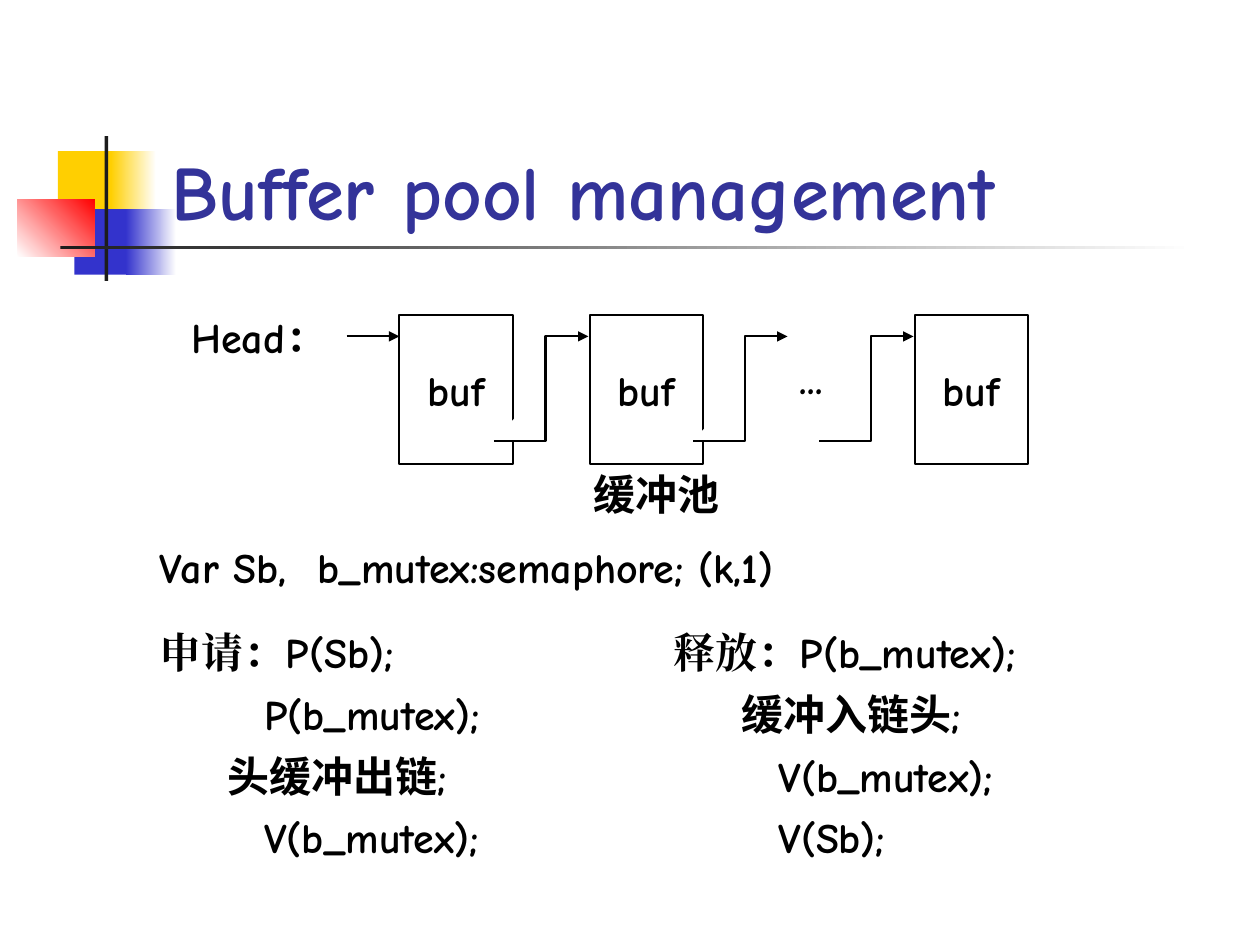
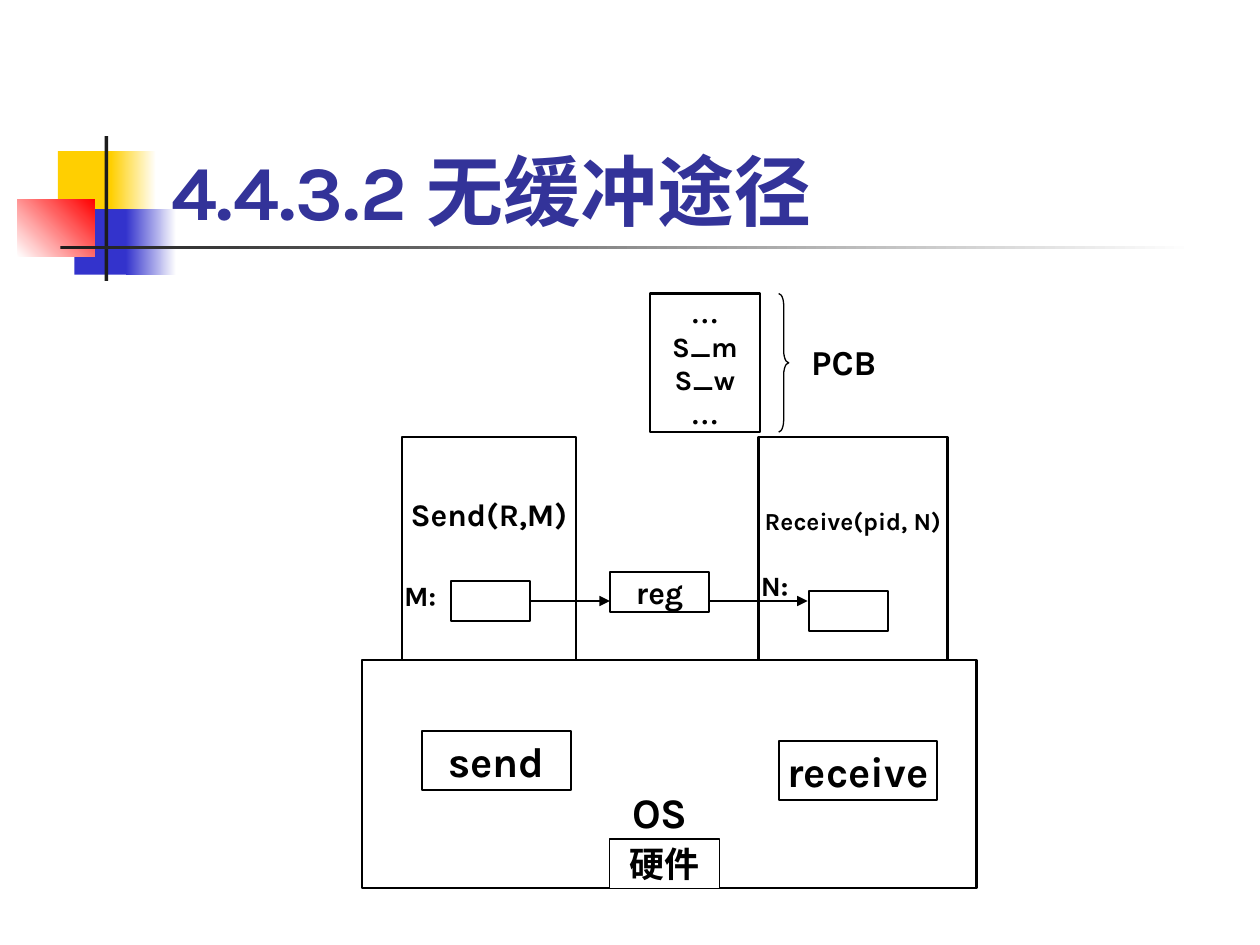
import pptx
import pptx.util
import pptx.dml.color
import pptx.enum.shapes
import pptx.enum.text
import pptx.oxml.ns
from lxml import etree
from dataclasses import dataclass

Inches, Pt = pptx.util.Inches, pptx.util.Pt
RGB = pptx.dml.color.RGBColor.from_string
SHAPE = pptx.enum.shapes.MSO_SHAPE
ANCHOR = pptx.enum.text.MSO_ANCHOR
ALIGN = pptx.enum.text.PP_ALIGN
AUTO = pptx.enum.text.MSO_AUTO_SIZE
qn = pptx.oxml.ns.qn


@dataclass(frozen=True)
class Theme:
    comic: str = "Comic Neue"
    karla: str = "Karla"
    times: str = "Times New Roman"
    ink: str = "000000"
    paper: str = "FFFFFF"
    title: str = "333399"
    yellow: str = "FFCF01"
    blue: str = "3333CC"
    red: str = "FF0000"
    dark: str = "1C1C1C"
    title_size: int = 44
    large: int = 24
    medium: int = 20
    body: int = 18
    label: int = 16
    small: int = 14
    line: float = 1.25
    thin: float = 0.75


T = Theme()

DECOR = [
    ((0.46, 1.2, 0.48, 0.52), [T.yellow], 0),
    ((0.88, 1.2, 0.36, 0.52), [T.yellow, T.paper], 0),
    ((0.59, 1.66, 0.46, 0.52), [T.blue], 0),
    ((1.0, 1.66, 0.4, 0.52), [T.blue, T.paper], 0),
    ((0.14, 1.58, 0.61, 0.46), [T.paper, T.red], 45),
    ((0.83, 1.08, 0.03, 1.15), [T.dark], 0),
    ((0.48, 1.95, 9, 0.03), [T.dark, T.paper], 0),
]
TITLE_AT = (1.26, 0.67, 8.52, 1.25)

BUF_LEFTS = [3.17, 4.68, 7.26]
LINK_LEFTS = [3.92, 5.5, 6.5]
LINK_STEPS = [(0, 3.5), (0.41, 3.5), (0.41, 2.67), (0.75, 2.67)]
CODE_INDENT, CJK_INDENT = 0.83, 0.54
OPERATIONS = [
    (1.17, "申请：", "P(Sb);",
     [("P(b_mutex);", CODE_INDENT), ("头缓冲出链;", CJK_INDENT), ("V(b_mutex);", CODE_INDENT)]),
    (5.25, "释放：", "P(b_mutex);",
     [("缓冲入链头;", CJK_INDENT), ("V(b_mutex);", CODE_INDENT), ("V(Sb);", CODE_INDENT)]),
]

PCB_ROWS = [("…", T.times), ("S_m", T.karla), ("S_w", T.karla), ("…", T.times)]
BOXES = [
    ((2.87, 5.24, 4.88, 1.81), "", T.body, T.line, 0.05),
    ((3.19, 3.47, 1.38, 1.77), "Send(R,M)", T.body, T.line, 0.6),
    ((6.02, 3.47, 1.5, 1.77), "Receive(pid, N)", T.small, T.line, 0.49),
    ((3.58, 4.61, 0.63, 0.32), "", T.body, T.line, 0.05),
    ((6.42, 4.69, 0.63, 0.32), "", T.body, T.line, 0.05),
    ((4.84, 4.54, 0.79, 0.32), "reg", T.body, T.line, 0.05),
    ((3.35, 5.8, 1.18, 0.47), "send", T.large, T.line, 0.05),
    ((6.18, 5.88, 1.26, 0.47), "receive", T.large, T.line, 0.05),
    ((4.84, 6.66, 0.87, 0.39), "硬件", T.medium, T.thin, 0.05),
]
LABELS = [
    ((3.11, 4.54, 0.47, 0.37), "M:", T.label),
    ((5.94, 4.46, 0.47, 0.37), "N:", T.label),
    ((6.34, 2.65, 0.87, 0.44), "PCB", T.medium),
    ((4.92, 6.19, 0.87, 0.5), "OS", T.large),
]
MESSAGE_MOVES = [(4.21, 4.84), (5.63, 6.41)]


def apply(obj, values):
    for name, value in values.items():
        setattr(obj, name, value)


def write(sp, paragraphs, size, color=T.ink, frame=None, para=None):
    tf = sp.text_frame
    apply(tf, {"word_wrap": True, **(frame or {})})
    for i, runs in enumerate(paragraphs):
        p = tf.paragraphs[0] if i == 0 else tf.add_paragraph()
        apply(p, para or {})
        for text, font in runs:
            r = p.add_run()
            r.text = text
            apply(r.font, {"size": Pt(size), "bold": True, "name": font})
            r.font.color.rgb = RGB(color)
            ea = etree.SubElement(r.font._element, qn("a:ea"))
            ea.set("typeface", font)
    return tf


def textbox(s, at, paragraphs, size, color=T.ink, frame=None):
    sp = s.shapes.add_textbox(*map(Inches, at))
    return write(sp, paragraphs, size, color, frame or {"auto_size": AUTO.SHAPE_TO_FIT_TEXT})


def paint(sp, fill=T.paper, width=T.line):
    sp.shadow.inherit = False
    if fill:
        sp.fill.solid()
        sp.fill.fore_color.rgb = RGB(fill)
    else:
        sp.fill.background()
    if width:
        sp.line.color.rgb = RGB(T.ink)
        sp.line.width = Pt(width)
    else:
        sp.line.fill.background()


def box(s, at, paragraphs=(), size=T.body, width=T.line, bottom=0.05, fill=T.paper):
    sp = s.shapes.add_shape(SHAPE.RECTANGLE, *map(Inches, at))
    paint(sp, fill, width)
    frame = {"word_wrap": False, "vertical_anchor": ANCHOR.MIDDLE,
             "margin_bottom": Inches(bottom)}
    write(sp, paragraphs, size, frame=frame, para={"alignment": ALIGN.CENTER})
    return sp


def arrowhead(sp):
    ln = sp.element.spPr.find(qn("a:ln"))
    etree.SubElement(ln, qn("a:tailEnd")).set("type", "triangle")


def arrow(s, left, right, y, width):
    c = s.shapes.add_connector(pptx.enum.shapes.MSO_CONNECTOR.STRAIGHT,
                               *map(Inches, (left, y, right, y)))
    c.line.color.rgb = RGB(T.ink)
    c.line.width = Pt(width)
    arrowhead(c)
    etree.SubElement(c.element.spPr, qn("a:effectLst"))


def link(s, left):
    points = [(Inches(left + dx), Inches(y)) for dx, y in LINK_STEPS]
    builder = s.shapes.build_freeform(*points[0], scale=1.0)
    builder.add_line_segments(points[1:], close=False)
    sp = builder.convert_to_shape()
    paint(sp)
    arrowhead(sp)


def titled_slide(prs, title, font):
    s = prs.slides.add_slide(prs.slide_layouts[6])
    for at, colors, angle in DECOR:
        sp = box(s, at, width=0, fill=colors[0])
        if len(colors) == 2:
            sp.fill.gradient()
            sp.fill.gradient_angle = angle
            for stop, color in zip(sp.fill.gradient_stops, colors):
                stop.color.rgb = RGB(color)
    textbox(s, TITLE_AT, [[(title, font)]], T.title_size, T.title,
            {"vertical_anchor": ANCHOR.BOTTOM})
    return s


def buffer_pool(prs):
    s = titled_slide(prs, "Buffer pool management", T.comic)
    for left in BUF_LEFTS:
        box(s, (left, 2.5, 0.9, 1.18), [[("buf", T.comic)]], T.large)
    arrow(s, 2.75, 3.17, 2.67, T.line)
    for left in LINK_LEFTS:
        link(s, left)
    textbox(s, (6.25, 2.75, 0.5, 0.5), [[("...", T.comic)]], T.large)
    tf = textbox(s, (1.17, 4.25, 7.42, 0.5),
                 [[("Var Sb,\tb_mutex:semaphore; (k,1)", T.comic)]], T.large)
    tabs = etree.SubElement(tf.paragraphs[0]._p.get_or_add_pPr(), qn("a:tabLst"))
    tab = etree.SubElement(tabs, qn("a:tab"))
    tab.set("pos", str(Inches(1.25)))
    tab.set("algn", "l")
    for left, name, first, steps in OPERATIONS:
        rows = [[(name, T.times), (first, T.comic)]] + [[(step, T.comic)] for step, _ in steps]
        tf = textbox(s, (left, 4.92, 3.58, 1.97), rows, T.large)
        for p, (_, indent) in zip(tf.paragraphs[1:], steps):
            apply(p, {"line_spacing": 0.7, "space_before": Pt(15)})
            p._p.get_or_add_pPr().set("marL", str(Inches(indent)))
    textbox(s, (1.42, 2.42, 1.5, 0.5), [[("Head", T.comic), ("：", T.times)]], T.large)
    textbox(s, (4.61, 3.67, 1.89, 0.5), [[("缓冲池", T.karla)]], T.large)


def unbuffered_path(prs):
    s = titled_slide(prs, "4.4.3.2 无缓冲途径", T.karla)
    for at, text, size, width, bottom in BOXES:
        box(s, at, [[(text, T.karla)]] if text else [], size, width, bottom)
    box(s, (5.16, 2.33, 0.87, 1.1), [[row] for row in PCB_ROWS], T.label)
    for left, right in MESSAGE_MOVES:
        arrow(s, left, right, 4.77, T.thin)
    brace = s.shapes.add_shape(SHAPE.RIGHT_BRACE, *map(Inches, (6.18, 2.33, 0.08, 1.1)))
    brace.adjustments[0] = 1.2
    paint(brace, None, T.thin)
    for at, text, size in LABELS:
        textbox(s, at, [[(text, T.karla)]], size)


def main():
    prs = pptx.Presentation()
    apply(prs, {"slide_width": Inches(10), "slide_height": Inches(7.5)})
    buffer_pool(prs)
    unbuffered_path(prs)
    prs.save("out.pptx")


if __name__ == "__main__":
    main()
